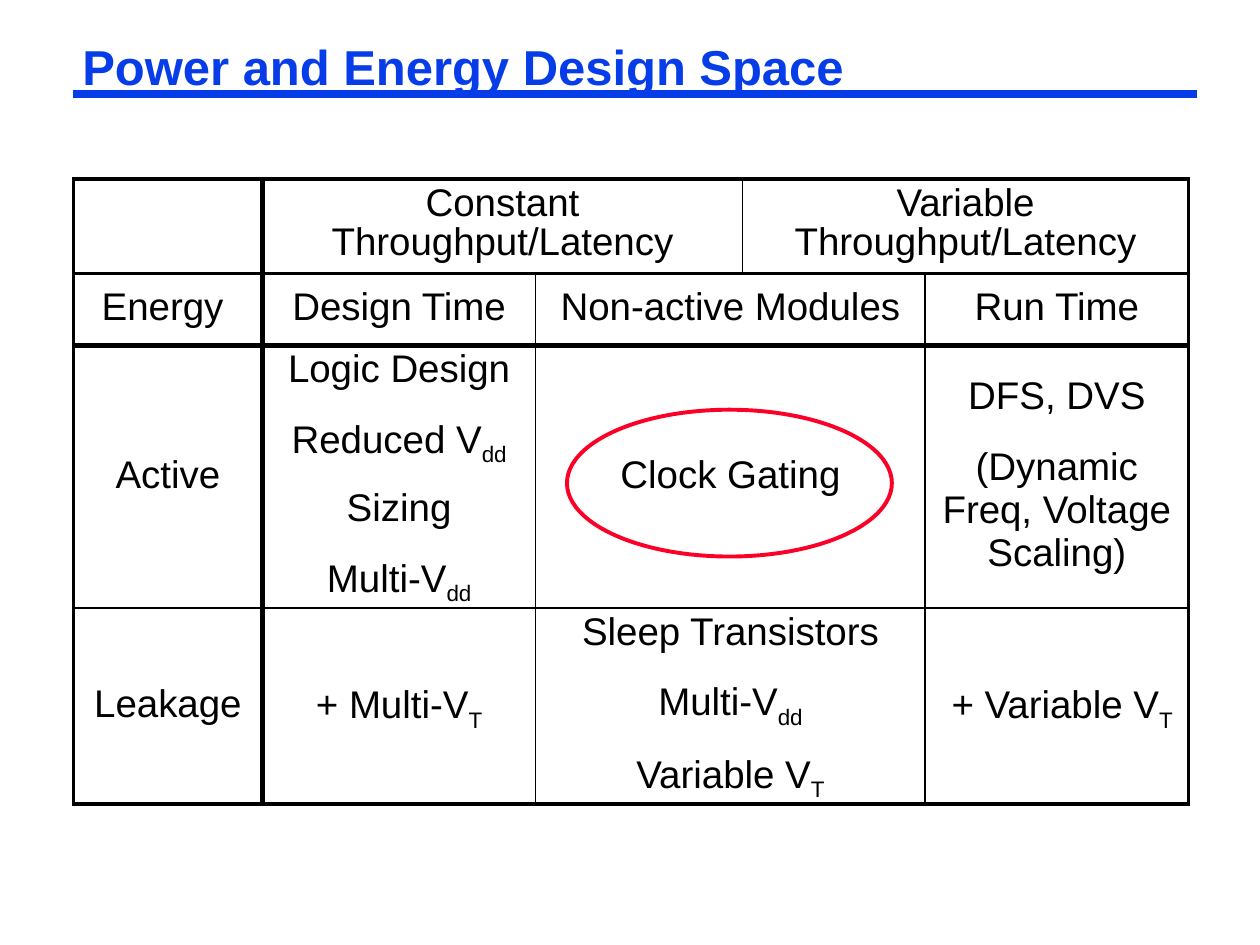
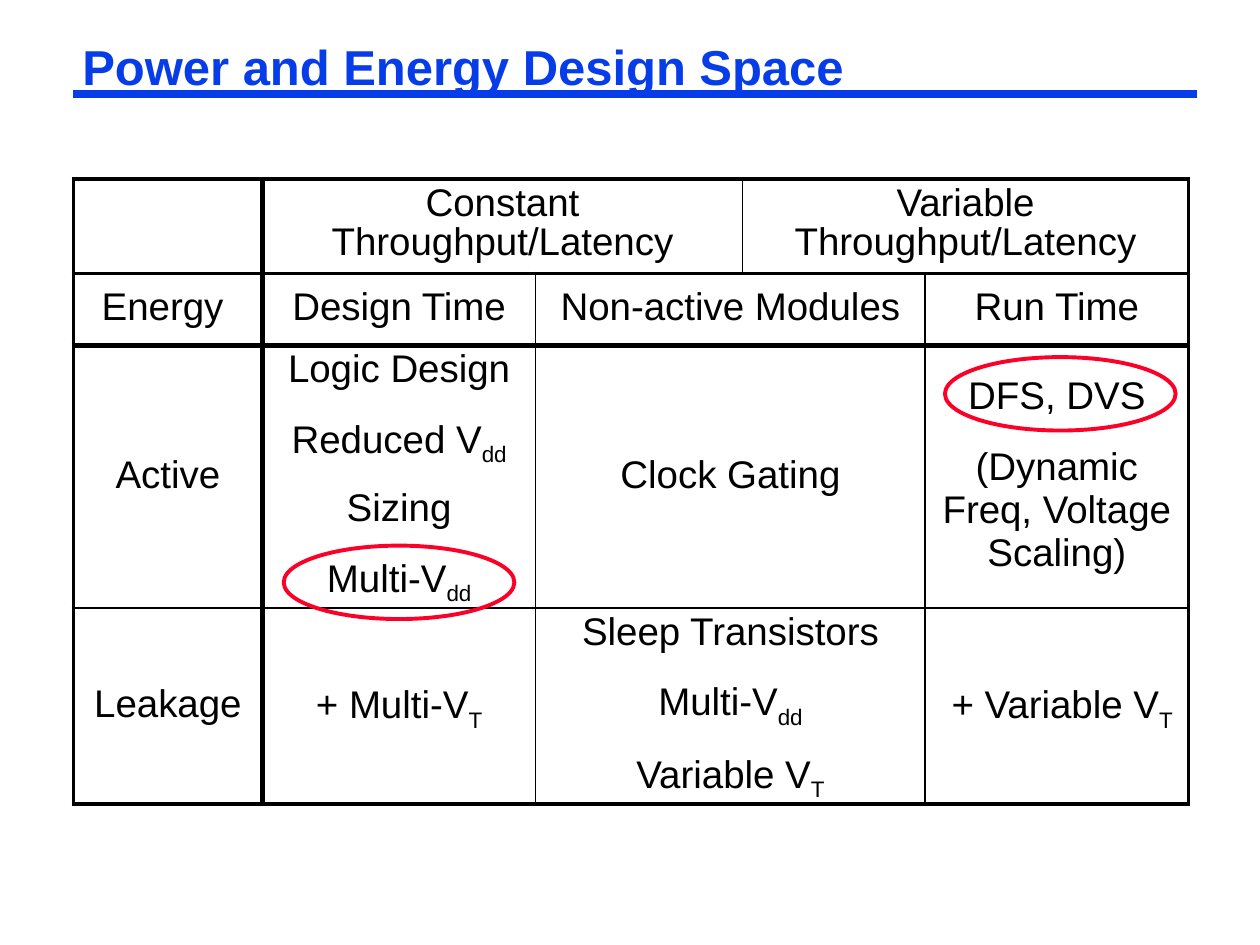
from lxml import etree
from pptx import Presentation
from pptx import util as u
from pptx.dml.color import RGBColor
from pptx.enum import shapes, text
from pptx.oxml import ns

BLUE = RGBColor(0x06, 0x3D, 0xE8)
RED = RGBColor(0xFC, 0x01, 0x28)
BLACK = RGBColor(0, 0, 0)
FONT = "Arial"

# Boxes are left, top, width, height in cm
TITLE = "Power and Energy Design Space"
TITLE_BOX = (1.48, 0.84, 22.66, 1.17)
RULE_Y = 1.9
TABLE_LEFT, TABLE_TOP = 1.48, 3.61
COL_WIDTHS = (3.81, 5.51, 4.17, 3.68, 5.31)
ROW_HEIGHTS = (1.9, 1.45, 5.12, 3.82)

# Border widths in points, one for each grid line
COL_LINES = (2.25, 3, 1, 1, 1, 2.25)
ROW_LINES = (2.25, 2.25, 3, 1, 2.25)

# (text, columns spanned); "_" starts a subscript
DESIGN_SPACE = (
    (("", 1), ("Constant Throughput/Latency", 2),
     ("Variable Throughput/Latency", 2)),
    (("Energy ", 1), ("Design Time", 1), ("Non-active Modules", 2),
     ("Run Time", 1)),
    (("Active", 1), ("Logic Design\nReduced V_dd\nSizing\nMulti-V_dd", 1),
     ("Clock Gating", 2), ("DFS, DVS\n(Dynamic Freq, Voltage Scaling)", 1)),
    (("Leakage", 1), ("+ Multi-V_T", 1),
     ("Sleep Transistors\nMulti-V_dd\nVariable V_T", 2),
     (" + Variable V_T", 1)),
)

# Ellipses that mark the techniques discussed, slide by slide
HIGHLIGHTS = (
    ((11.43, 8.26, 6.55, 2.96),),
    ((5.72, 11.0, 4.65, 1.48), (19.05, 7.2, 4.65, 1.48)),
)


def cm(box):
    return [u.Cm(v) for v in box]


def style_font(font, size, color, bold=False):
    font.name, font.size, font.bold = FONT, u.Pt(size), bold
    font.color.rgb = color


def add_heading(s, box):
    """Title with the blue rule through its foot."""
    left, top, width, height = box
    rule = s.shapes.add_connector(
        shapes.MSO_CONNECTOR.STRAIGHT, u.Cm(left), u.Cm(RULE_Y),
        u.Cm(left + width), u.Cm(RULE_Y))
    rule.line.color.rgb, rule.line.width = BLUE, u.Pt(4.5)
    etree.SubElement(rule._element.spPr, ns.qn("a:effectLst"))

    title = s.shapes.title
    title.left, title.top, title.width, title.height = cm(box)
    tf = title.text_frame
    tf.text = TITLE
    tf.auto_size = text.MSO_AUTO_SIZE.NONE
    tf.vertical_anchor = text.MSO_ANCHOR.BOTTOM
    tf.margin_left = tf.margin_right = u.Cm(0.18)
    tf.margin_top = tf.margin_bottom = u.Cm(0.08)
    p = tf.paragraphs[0]
    p.alignment, p.line_spacing = text.PP_ALIGN.LEFT, 0.87
    style_font(p.runs[0].font, 28, BLUE, bold=True)


def set_borders(cell, widths):
    """Draw black borders; widths maps L, R, T and B to points."""
    tc_pr = cell._tc.get_or_add_tcPr()
    for side, width in widths.items():
        ln = etree.SubElement(tc_pr, ns.qn("a:ln" + side), w=str(u.Pt(width)))
        fill = etree.SubElement(ln, ns.qn("a:solidFill"))
        etree.SubElement(fill, ns.qn("a:srgbClr"), val=str(BLACK))
    cell.fill.background()


def fill_cell(cell, content):
    tf = cell.text_frame
    for i, line in enumerate(content.split("\n")):
        p = tf.add_paragraph() if i else tf.paragraphs[0]
        p.alignment = text.PP_ALIGN.CENTER
        p.line_spacing = 1.0 if line.startswith("(") else 0.9
        p.space_before = u.Pt(16 if i else 0)
        base, _, subscript = line.partition("_")
        for part in filter(None, (base, subscript)):
            r = p.add_run()
            r.text = part
            style_font(r.font, 22, BLACK)
        if subscript:
            r.font._element.set("baseline", "-25000")


def add_design_space(s, left, top):
    """Table of techniques by energy kind and design stage."""
    table = s.shapes.add_table(
        len(ROW_HEIGHTS), len(COL_WIDTHS),
        *cm((left, top, sum(COL_WIDTHS), sum(ROW_HEIGHTS)))).table
    table.first_row = table.horz_banding = False
    for col, width in zip(table.columns, COL_WIDTHS):
        col.width = u.Cm(width)
    for row, height in zip(table.rows, ROW_HEIGHTS):
        row.height = u.Cm(height)

    for i, entries in enumerate(DESIGN_SPACE):
        j = 0
        for content, span in entries:
            end = j + span
            cell = table.cell(i, j)
            if span > 1:
                cell.merge(table.cell(i, end - 1))
            fill_cell(cell, content)
            if i:
                cell.vertical_anchor = text.MSO_ANCHOR.MIDDLE
            edges = {"R": COL_LINES[end], "T": ROW_LINES[i],
                     "B": ROW_LINES[i + 1]}
            set_borders(cell, {"L": COL_LINES[j], **edges})
            for k in range(j + 1, end):
                set_borders(table.cell(i, k), edges)
            j = end


def add_highlight(s, box):
    sp = s.shapes.add_shape(shapes.MSO_SHAPE.OVAL, *cm(box))
    sp.shadow.inherit = False
    sp.fill.background()
    sp.line.color.rgb, sp.line.width = RED, u.Pt(2.25)


def add_design_slide(prs, highlights):
    s = prs.slides.add_slide(prs.slide_layouts[5])
    add_heading(s, TITLE_BOX)
    add_design_space(s, TABLE_LEFT, TABLE_TOP)
    for box in highlights:
        add_highlight(s, box)


def main():
    prs = Presentation()
    prs.slide_width, prs.slide_height = u.Cm(25.4), u.Cm(19.05)
    for highlights in HIGHLIGHTS:
        add_design_slide(prs, highlights)
    prs.save("out.pptx")


if __name__ == "__main__":
    main()
